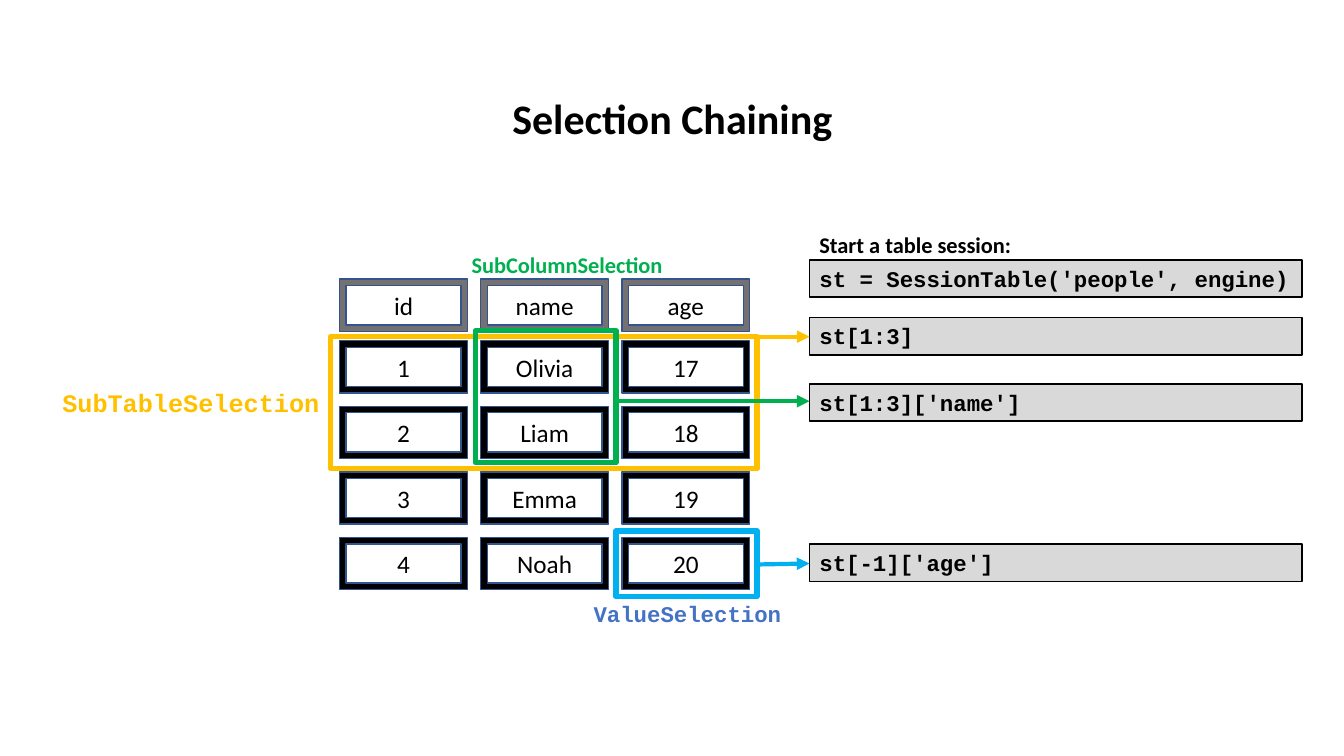
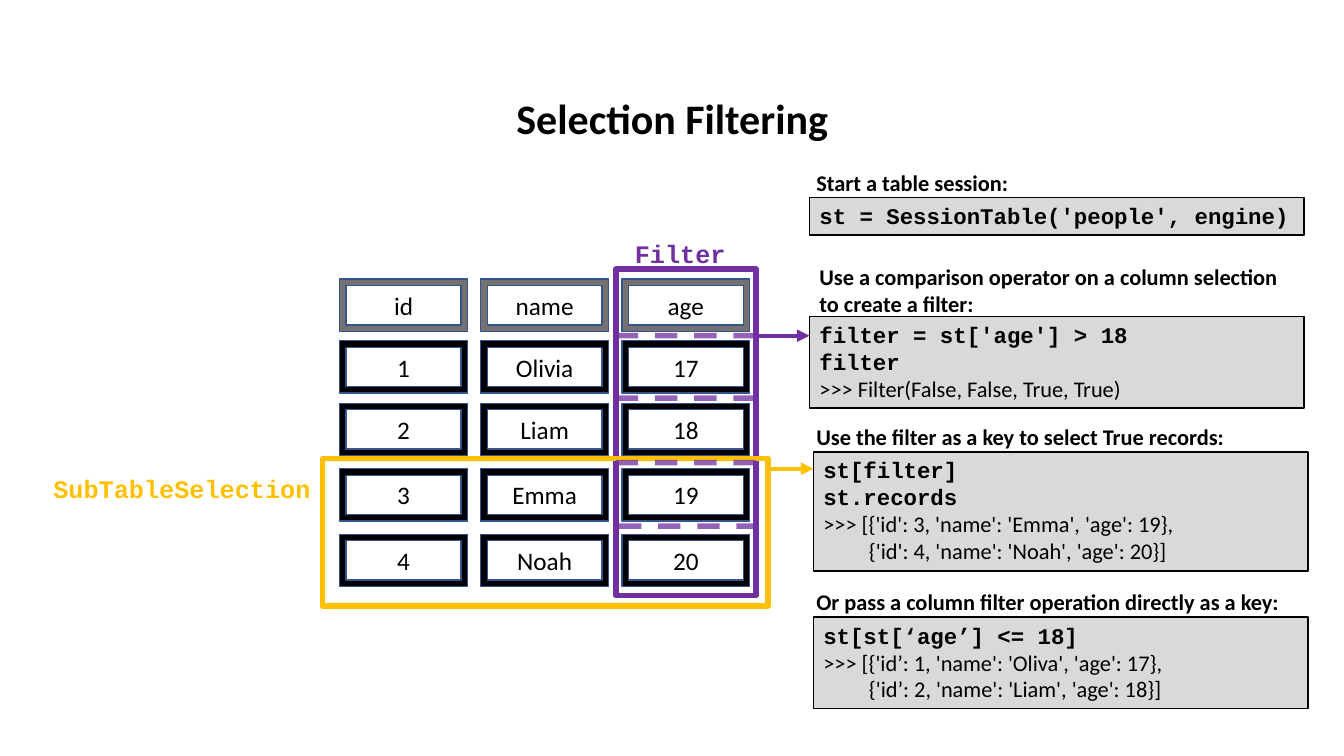
from pptx import Presentation
from pptx.dml.color import RGBColor
from pptx.enum.dml import MSO_LINE
from pptx.enum.shapes import MSO_CONNECTOR, MSO_SHAPE
from pptx.enum.text import MSO_ANCHOR, MSO_AUTO_SIZE, PP_ALIGN
from pptx.oxml.ns import qn
from pptx.util import Pt
from lxml.etree import SubElement

# Theme: colours, and text styles as (font, size, bold)
THEME = {
    "black": "000000", "header": "767171", "cell_line": "325491", "code_fill": "D9D9D9",
    "yellow": "FFC000", "green": "00B050", "cyan": "00B0F0", "blue": "4472C4",
    "purple": "7030A0",
    "title": ("Calibri", 30, True),
    "cell": ("Calibri", 18, False),
    "label": ("Calibri", 16, True),
    "tag": ("Courier New", 18, True),
    "code": ("Courier New", 16, True),
    "output": ("Calibri", 16, False),
    "more": ("Calibri", 16, False),
    "indent": 32.5, "code_line": 1.25, "outline": 4, "arrow": 3,
}


def box(s, at, lines=(), color="black", preset=None, fill=None, line=None, width=1, center=False):
    """Add a text box, or a preset shape; lines are (text, style) pairs."""
    at = [Pt(v) for v in at]
    if preset is None:
        sp = s.shapes.add_textbox(*at)
    else:
        sp = s.shapes.add_shape(preset, *at)
        sp.shadow.inherit = False
        sp.line.color.rgb = RGBColor.from_string(THEME[line])
        sp.line.width = Pt(width)
        if fill:
            sp.fill.solid()
            sp.fill.fore_color.rgb = RGBColor.from_string(THEME[fill])
        else:
            sp.fill.background()
    tf = sp.text_frame
    tf.word_wrap = True
    if preset == MSO_SHAPE.FRAME:
        tf.vertical_anchor = MSO_ANCHOR.MIDDLE
    else:
        tf.vertical_anchor = MSO_ANCHOR.TOP
        if lines:
            tf.auto_size = MSO_AUTO_SIZE.SHAPE_TO_FIT_TEXT
    for i, (text, style) in enumerate(lines):
        p = tf.add_paragraph() if i else tf.paragraphs[0]
        p.alignment = PP_ALIGN.CENTER if center else PP_ALIGN.LEFT
        if style == "more":
            p._p.get_or_add_pPr().set("marL", str(Pt(THEME["indent"])))
        r = p.add_run()
        r.text = text
        r.font.name, size, r.font.bold = THEME[style]
        r.font.size = Pt(size)
        r.font.color.rgb = RGBColor.from_string(THEME[color])


def link(s, x1, y1, x2, y2, color, dashed=False):
    """Add an arrow, or a translucent dashed divider."""
    c = s.shapes.add_connector(MSO_CONNECTOR.STRAIGHT, Pt(x1), Pt(y1), Pt(x2), Pt(y2))
    c.line.color.rgb = RGBColor.from_string(THEME[color])
    c.line.width = Pt(THEME["outline" if dashed else "arrow"])
    spPr = c._element.spPr
    ln = spPr.find(qn("a:ln"))
    if dashed:
        c.line.dash_style = MSO_LINE.DASH
        SubElement(ln.find(".//" + qn("a:srgbClr")), qn("a:alpha"), val="75000")
    else:
        SubElement(ln, qn("a:tailEnd"), type="triangle")
    SubElement(spPr, qn("a:effectLst"))


prs = Presentation()
prs.slide_width, prs.slide_height = Pt(960), Pt(540)

people = [("id", "name", "age"), ("1", "Olivia", "17"), ("2", "Liam", "18"),
          ("3", "Emma", "19"), ("4", "Noah", "20")]
session = [("st = SessionTable('people', engine)", "code")]

slides = [
    {   # Selection chaining
        "title": "Selection Chaining",
        "row_tops": (199.4, 243.4, 290.2, 337, 383.8),
        "outlines": [((236.2, 240.5, 304.6, 94.3), "yellow"),
                     ((339.8, 236.2, 100.1, 94.3), "green"),
                     ((439.9, 379.4, 100.8, 46.8), "cyan")],
        "dividers": [],
        "arrows": [(540.7, 240.5, 578.2, 240.5, "yellow"),
                   (439.9, 286.6, 578.2, 286.6, "green"),
                   (540.7, 403.2, 578.2, 402.5, "cyan")],
        "tags": [((37.4, 272.9, 198.8, 28.8), "SubTableSelection", "tag", "yellow"),
                 ((416.9, 424.8, 169.9, 26.6), "ValueSelection", "code", "blue"),
                 ((329.8, 175.7, 185.8, 26.6), "SubColumnSelection", "label", "green")],
        "code": [((578.2, 185.8, 352.1, 26.6), session),
                 ((578.2, 226.8, 352.1, 26.6), [("st[1:3]", "code")]),
                 ((578.2, 274.3, 352.1, 26.6), [("st[1:3]['name']", "code")]),
                 ((578.2, 388.8, 352.1, 26.6), [("st[-1]['age']", "code")])],
        "steps": [((578.2, 161.3, 352.1, 26.6), "Start a table session:")],
    },
    {   # Selection filtering
        "title": "Selection Filtering",
        "row_tops": (199.4, 243.4, 288, 334.8, 381.6),
        "outlines": [((439.9, 192.2, 100.1, 233.3), "purple"),
                     ((230.4, 327.6, 318.2, 105.1), "yellow")],
        "dividers": [(439.9, 239.8), (439.9, 284.4), (439.9, 330.5), (442.1, 375.8)],
        "arrows": [(547.9, 334.8, 581, 334.8, "yellow"),
                   (540, 239.8, 578.2, 239.8, "purple")],
        "tags": [((446.4, 167, 81.4, 28.8), "Filter", "tag", "purple"),
                 ((31, 334.8, 200.9, 28.8), "SubTableSelection", "tag", "yellow")],
        "code": [((578.2, 141.1, 353.5, 26.6), session),
                 ((578.2, 226.1, 353.5, 65.5),
                  [("filter = st['age'] > 18", "code"), ("filter", "code"),
                   (">>> Filter(False, False, True, True)", "output")]),
                 ((581, 322.6, 353.5, 85),
                  [("st[filter]", "code"), ("st.records", "code"),
                   (">>> [{'id': 3, 'name': 'Emma', 'age': 19},", "output"),
                   ("{'id': 4, 'name': 'Noah', 'age': 20}]", "more")]),
                 ((581, 440.6, 353.5, 65.5),
                  [("st[st[‘age’] <= 18]", "code"),
                   (">>> [{'id’: 1, 'name': 'Oliva', 'age': 17},", "output"),
                   ("{'id’: 2, 'name': 'Liam', 'age': 18}]", "more")])],
        "steps": [((576, 117.4, 352.1, 26.6), "Start a table session:"),
                  ((578.2, 184.3, 352.1, 46.1),
                   "Use a comparison operator on a column selection to create a filter:"),
                  ((576, 298.8, 352.1, 26.6), "Use the filter as a key to select True records:"),
                  ((576, 416.9, 352.1, 26.6),
                   "Or pass a column filter operation directly as a key:")],
    },
]

for page in slides:
    s = prs.slides.add_slide(prs.slide_layouts[6])
    box(s, (236.2, 62.6, 488.2, 43.9), [(page["title"], "title")], center=True)

    # Framed cells of the people table
    for top, record in zip(page["row_tops"], people):
        for col, value in enumerate(record):
            box(s, (242.6 + 100.8 * col, top, 91.4, 37.4), [(value, "cell")],
                preset=MSO_SHAPE.FRAME, fill="header" if record is people[0] else "black",
                line="cell_line", center=True)

    # Selection outlines, dividers and their names
    for at, color in page["outlines"]:
        box(s, at, preset=MSO_SHAPE.RECTANGLE, line=color, width=THEME["outline"])
    for x, y in page["dividers"]:
        link(s, x, y, x + 100.1, y, "purple", dashed=True)
    for at, text, style, color in page["tags"]:
        box(s, at, [(text, style)], color)

    # Code boxes, arrows and steps
    for at, lines in page["code"]:
        box(s, at, lines, preset=MSO_SHAPE.RECTANGLE, fill="code_fill", line="black",
            width=THEME["code_line"])
    for arrow in page["arrows"]:
        link(s, *arrow)
    for at, text in page["steps"]:
        box(s, at, [(text, "label")])

prs.save("out.pptx")
